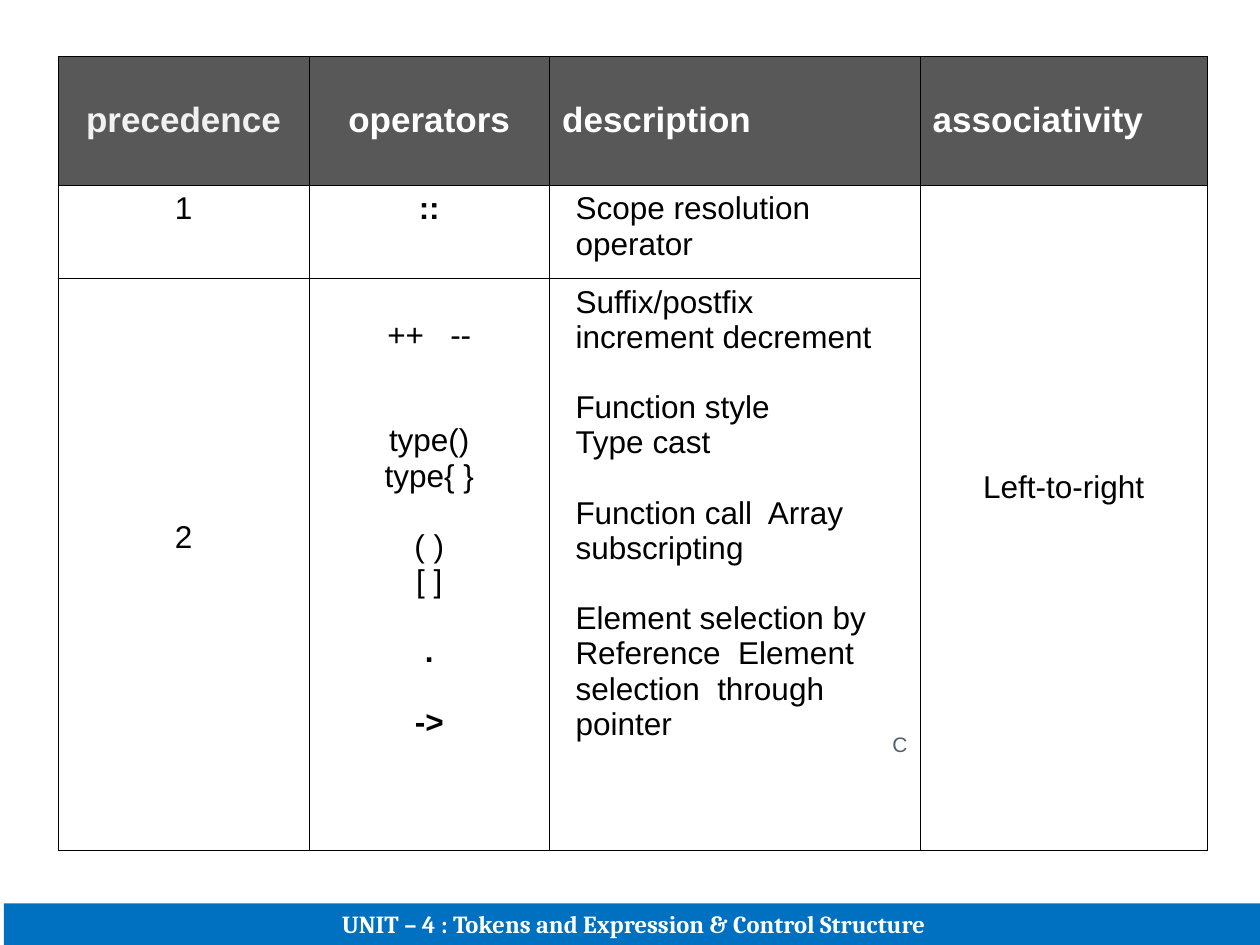
from lxml.etree import SubElement
from pptx import Presentation
from pptx.dml.color import RGBColor
from pptx.enum.shapes import MSO_SHAPE
from pptx.enum.text import MSO_ANCHOR as ANCHOR, PP_ALIGN as ALIGN
from pptx.oxml.ns import qn
from pptx.util import Cm, Pt

FOOTER = "UNIT – 4 : Tokens and Expression & Control Structure"
COL_WIDTHS = [5.06, 4.85, 7.47, 5.79]
ROW_HEIGHTS = [2.59, 1.88, 11.53]
LINE = 20.1  # pitch of the lines in the body, in points

# text, alignment, colour
HEADERS = [
    ("precedence", ALIGN.CENTER, "F1F1F1"),
    ("operators", ALIGN.CENTER, "FFFFFF"),
    ("description", ALIGN.LEFT, "FFFFFF"),
    ("associativity", ALIGN.LEFT, "FFFFFF"),
]
# row, column, top margin in cm, lines as (text, blank lines before, bold)
BODY = [
    (1, 0, 0.13, [("1", 0, False)]),
    (1, 1, 0.13, [("::", 0, True)]),
    (1, 2, 0.13, [("Scope resolution  operator", 0, False)]),
    (1, 3, 5.75, [("Left-to-right", 0, False)]),
    (2, 0, 4.88, [("2", 0, False)]),
    (2, 1, 0.8, [
        ("++\t--", 0, False),
        ("type()", 2, False),
        ("type{ }", 0, False),
        ("( )", 1, False),
        ("[ ]", 0, False),
        (".", 1, True),
        ("->", 1, True),
    ]),
    (2, 2, 0.13, [
        ("Suffix/postfix  increment decrement", 0, False),
        ("Function style", 1, False),
        ("Type cast", 0, False),
        ("Function call  Array subscripting", 1, False),
        ("Element selection by", 1, False),
        ("Reference  Element selection  through pointer", 0, False),
    ]),
]


def rgb(value):
    return RGBColor.from_string(value)


def write(p, text, size, color, align, bold=False, name="Arial"):
    p.text = text
    p.alignment = align
    f = p.font
    f.name, f.size, f.bold = name, Pt(size), bold
    f.color.rgb = rgb(color)


def add_borders(cell):
    tcPr = cell._tc.get_or_add_tcPr()
    for i, side in enumerate(("lnL", "lnR", "lnT", "lnB")):
        ln = SubElement(tcPr, qn(f"a:{side}"), w=str(Pt(0.45)))
        tcPr.insert(i, ln)
        SubElement(SubElement(ln, qn("a:solidFill")), qn("a:srgbClr"), val="000000")


def fill_cell(cell, margin_top, lines, align):
    cell.margin_top = Cm(margin_top)
    tf = cell.text_frame
    for i, (text, blanks, bold) in enumerate(lines):
        p = tf.paragraphs[0] if i == 0 else tf.add_paragraph()
        write(p, text, 18, "000000", align, bold)
        p.line_spacing = Pt(LINE)
        p.space_before = Pt(LINE * blanks)
        if align == ALIGN.LEFT:
            p._p.get_or_add_pPr().set("marL", str(Cm(0.27)))


def add_precedence_table(s):
    table = s.shapes.add_table(
        len(ROW_HEIGHTS), len(COL_WIDTHS), Cm(1.17), Cm(1.14),
        Cm(sum(COL_WIDTHS)), Cm(sum(ROW_HEIGHTS))).table
    table.horz_banding = False
    for col, width in zip(table.columns, COL_WIDTHS):
        col.width = Cm(width)
    for row, height in zip(table.rows, ROW_HEIGHTS):
        row.height = Cm(height)
    table.cell(1, 3).merge(table.cell(2, 3))

    for cell in table.iter_cells():
        cell.fill.solid()
        cell.fill.fore_color.rgb = rgb("FFFFFF")
        add_borders(cell)
    for c, (text, align, color) in enumerate(HEADERS):
        cell = table.cell(0, c)
        cell.fill.fore_color.rgb = rgb("585858")
        cell.vertical_anchor = ANCHOR.MIDDLE
        write(cell.text_frame.paragraphs[0], text, 20, color, align, True)
    for r, c, margin_top, lines in BODY:
        fill_cell(table.cell(r, c), margin_top, lines,
                  ALIGN.LEFT if c == 2 else ALIGN.CENTER)

    p = table.cell(2, 2).text_frame.add_paragraph()
    write(p, "C", 12, "565F6C", ALIGN.RIGHT)
    p.line_spacing = Pt(8.6)


def add_footer(s):
    bar = s.shapes.add_shape(
        MSO_SHAPE.RECTANGLE, Cm(0.08), Cm(18.21), Cm(25.4), Cm(0.84))
    bar.shadow.inherit = False
    bar.fill.solid()
    bar.fill.fore_color.rgb = rgb("0070C0")
    bar.line.fill.background()
    tf = bar.text_frame
    tf.word_wrap = True
    tf.vertical_anchor = ANCHOR.BOTTOM
    write(tf.paragraphs[0], FOOTER, 14, "FFFFFF", ALIGN.CENTER, True, "Cambria")


def main():
    prs = Presentation()
    prs.slide_width, prs.slide_height = Cm(25.4), Cm(19.05)
    s = prs.slides.add_slide(prs.slide_layouts[6])
    add_precedence_table(s)
    add_footer(s)
    prs.save("out.pptx")


if __name__ == "__main__":
    main()
